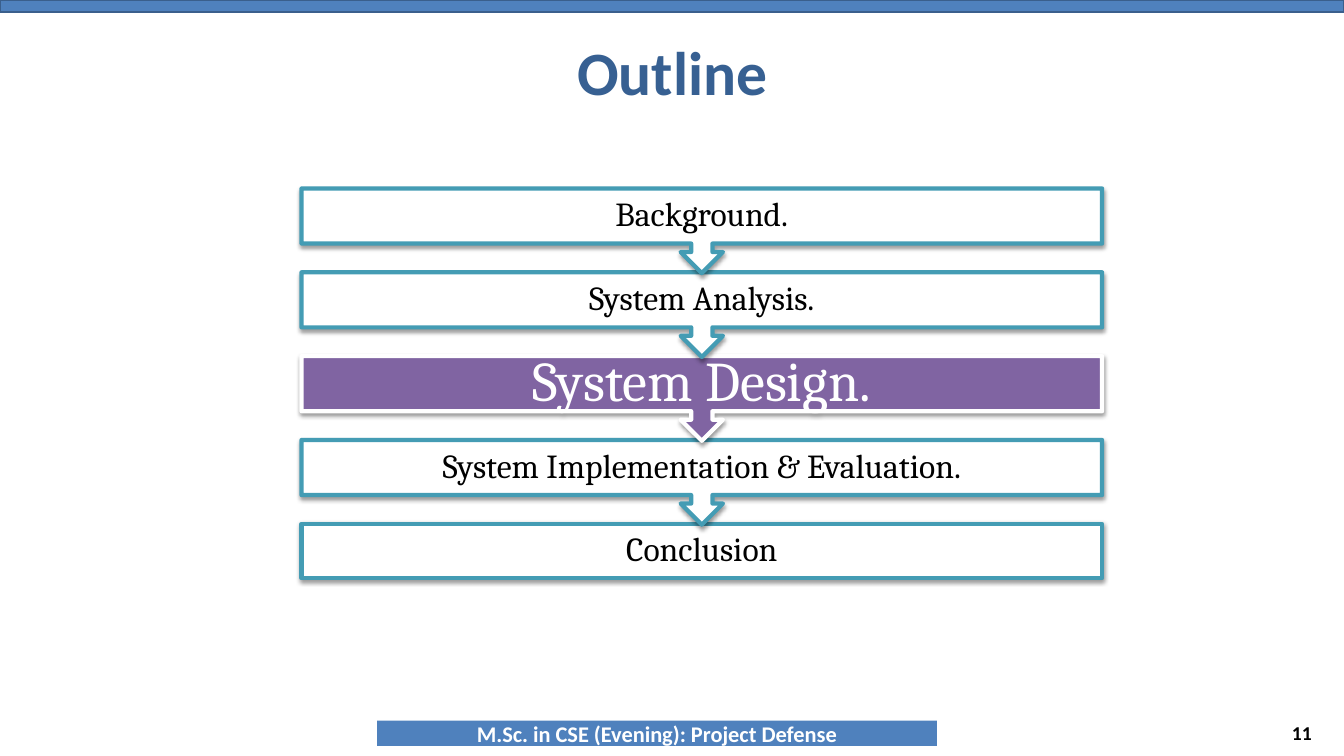
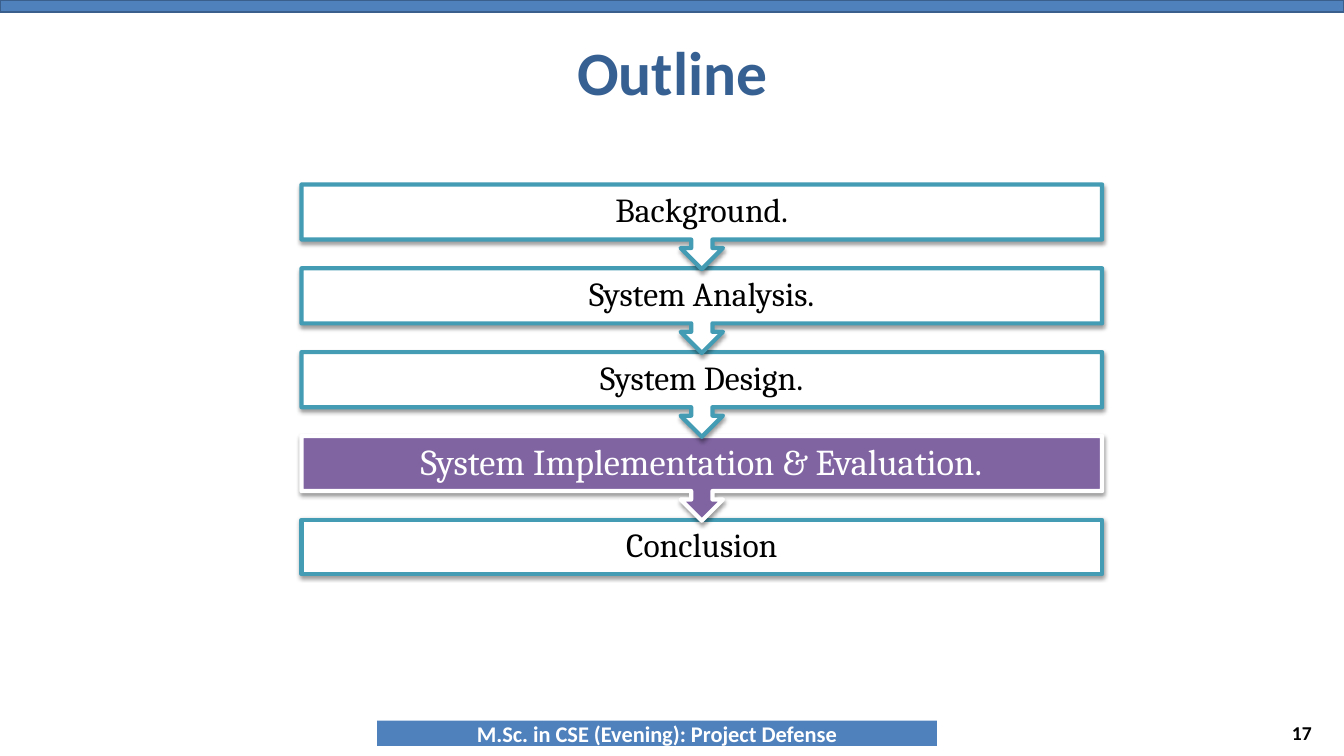
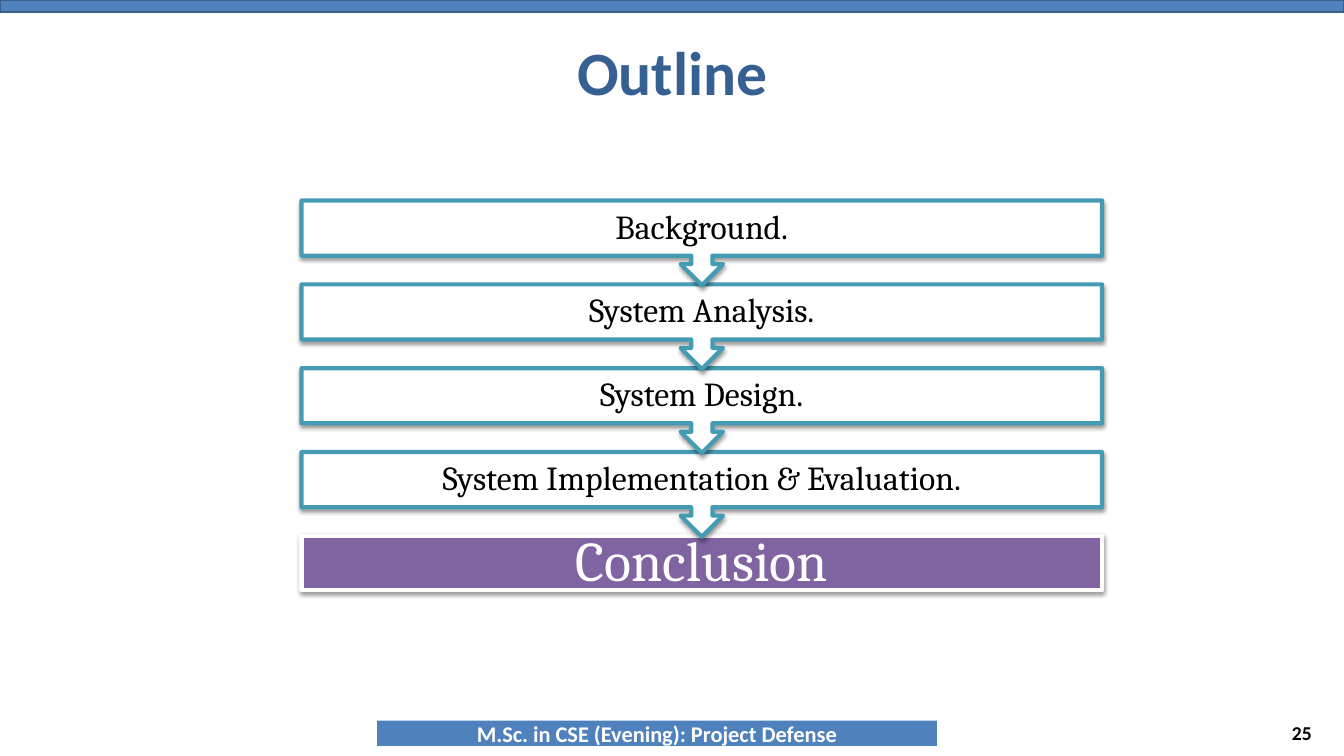
from lxml.etree import SubElement
from pptx import Presentation
from pptx.dml.color import RGBColor
from pptx.enum.shapes import MSO_SHAPE as Preset
from pptx.enum.text import MSO_ANCHOR as Anchor, PP_ALIGN as Align
from pptx.oxml.ns import qn
from pptx.util import Inches, Pt

COLORS = {
    "band": "4F81BD",
    "band_line": "3A5F8C",
    "title": "376092",
    "step_line": "449CB4",
    "current": "8064A2",
    "white": "FFFFFF",
    "black": "000000",
}
STEPS = [
    "Background.",
    "System Analysis.",
    "System Design.",
    "System Implementation & Evaluation.",
    "Conclusion",
]
OUTLINES = [
    {"number": 11, "current": 2, "top": 24.93, "size": 40, "inset": 0.31, "after": 14},
    {"number": 17, "current": 3, "top": 24.4, "size": 26, "inset": 0.25, "after": 11.2},
    {"number": 25, "current": 4, "top": 26.53, "size": 40, "inset": 0.31, "after": 14},
]
STEP_LEFT, STEP_WIDTH, STEP_PITCH = 22.43, 59.57, 11.09
CALLOUT_HEIGHT, BOX_HEIGHT = 11.2, 7.2

presentation = Presentation()
presentation.slide_width = Inches(13.33)
presentation.slide_height = Inches(7.5)


def add_block(shapes, percents, preset=None, fill=None, line=None, line_width=0):
    sides = (presentation.slide_width, presentation.slide_height) * 2
    area = [round(side * percent / 100) for side, percent in zip(sides, percents)]
    if preset is None:
        return shapes.add_textbox(*area)
    shape = shapes.add_shape(preset, *area)
    shape.shadow.inherit = False
    shape.fill.solid()
    shape.fill.fore_color.rgb = RGBColor.from_string(COLORS[fill])
    if line:
        shape.line.color.rgb = RGBColor.from_string(COLORS[line])
        shape.line.width = Pt(line_width)
    else:
        shape.line.fill.background()
    return shape


def write(shape, text, size, color, font="Calibri", bold=True, align=Align.CENTER):
    frame = shape.text_frame
    frame.word_wrap = True
    frame.vertical_anchor = Anchor.MIDDLE
    paragraph = frame.paragraphs[0]
    paragraph.text = text
    paragraph.alignment = align
    paragraph.font.name = font
    paragraph.font.size = Pt(size)
    paragraph.font.bold = bold
    paragraph.font.color.rgb = RGBColor.from_string(COLORS[color])
    return paragraph


for outline in OUTLINES:
    slide = presentation.slides.add_slide(presentation.slide_layouts[6])
    add_block(slide.shapes, (0, 0, 100, 1.6), Preset.RECTANGLE, "band", "band_line", 2)
    footer = add_block(slide.shapes, (28.06, 95.33, 41.64, 3.33), Preset.RECTANGLE, "band")
    write(footer, "M.Sc. in CSE (Evening): Project Defense", 16, "white")
    title = add_block(slide.shapes, (5.03, 3.33, 90, 12.13))
    write(title, "Outline", 44, "title")
    number = add_block(slide.shapes, (75.02, 94.27, 23.33, 5.33))
    write(number, str(outline["number"]), 14, "black", align=Align.RIGHT)

    group = slide.shapes.add_group_shape()
    for index, step in reversed(list(enumerate(STEPS))):
        is_last = index == len(STEPS) - 1
        is_current = index == outline["current"]
        box = add_block(
            group.shapes,
            (STEP_LEFT, outline["top"] + index * STEP_PITCH, STEP_WIDTH,
             BOX_HEIGHT if is_last else CALLOUT_HEIGHT),
            Preset.RECTANGLE if is_last else Preset.UP_ARROW_CALLOUT,
            "current" if is_current else "white",
            "white" if is_current else "step_line",
            3,
        )
        effects = box._element.spPr.find(qn("a:effectLst"))
        shadow = SubElement(effects, qn("a:outerShdw"), blurRad=str(Pt(3.1)),
                            dist=str(Pt(1.6)), dir="5400000", rotWithShape="0")
        shadow_color = SubElement(shadow, qn("a:srgbClr"), val=COLORS["black"])
        SubElement(shadow_color, qn("a:alpha"), val="38000")

        paragraph = write(box, step, outline["size"] if is_current else 24,
                          "white" if is_current else "black", "Cambria", False)
        paragraph.line_spacing = 0.9
        paragraph.space_after = Pt(outline["after"] if is_current else 8.4)
        frame = box.text_frame
        inset = Inches(outline["inset"] if is_current else 0.19)
        frame.margin_left = frame.margin_right = inset
        frame.margin_top = frame.margin_bottom = inset
        if not is_last:
            box.rotation = 180
            for position, value in enumerate((0.25, 0.25, 0.25, 0.65)):
                box.adjustments[position] = value
            frame._txBody.bodyPr.set("rot", "10800000")

presentation.save("out.pptx")
